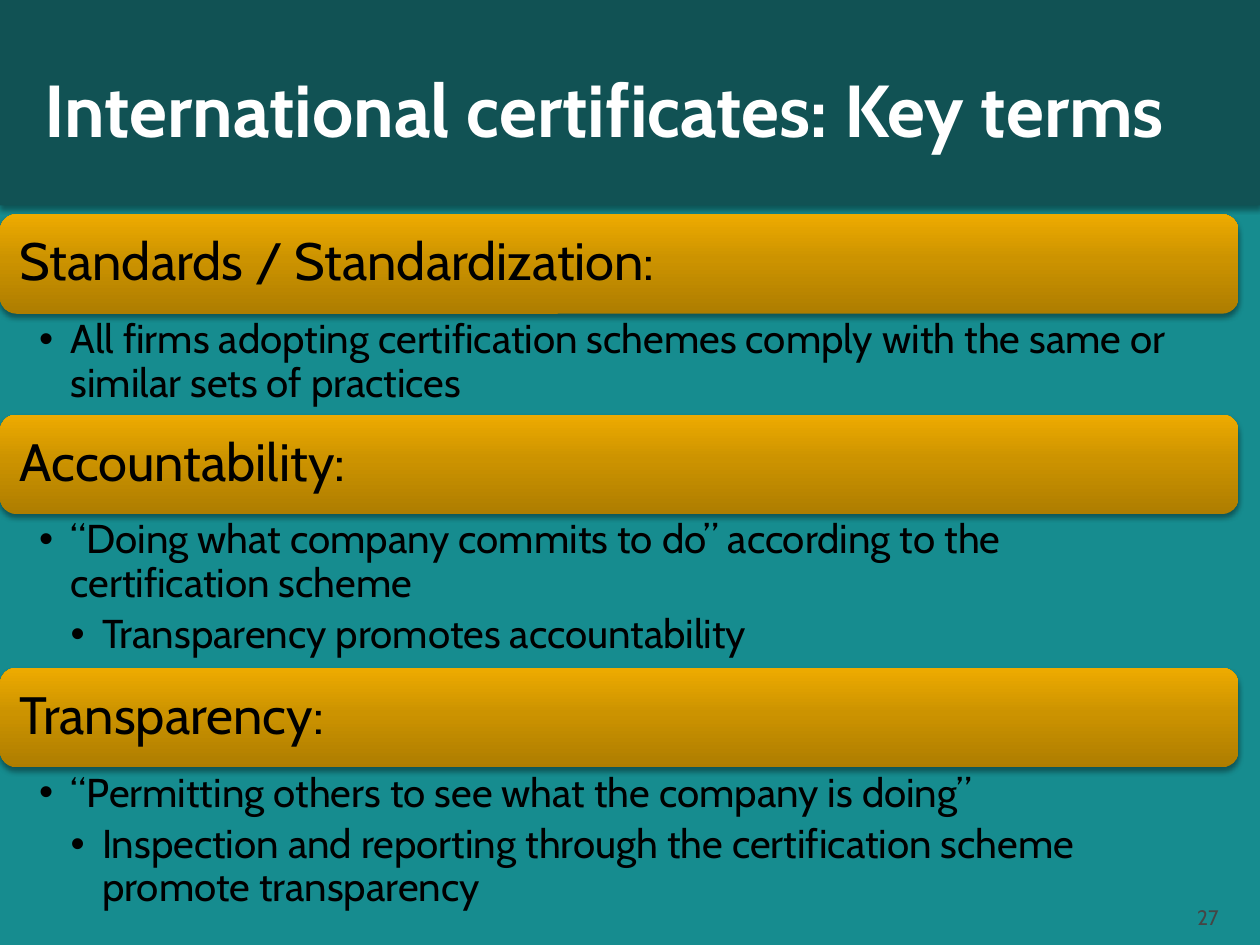
import copy
from dataclasses import dataclass

import pptx
import pptx.dml.color
import pptx.enum.shapes
import pptx.enum.text
import pptx.oxml
import pptx.oxml.ns
import pptx.util
from lxml import etree

TITLE = "International certificates: Key terms"
PAGE_NUMBER = "27"
# heading, height of its list in inches, [(outline level, text), ...]
TERMS = [
    ("Standards / Standardization:", 0.8, [
        (1, "All firms adopting certification schemes comply with the same or similar sets of practices"),
    ]),
    ("Accountability:", 1.22, [
        (1, "“Doing what company commits to do” according to the certification scheme"),
        (2, "Transparency promotes accountability"),
    ]),
    ("Transparency:", 1.22, [
        (1, "“Permitting others to see what the company is doing”"),
        (2, "Inspection and reporting through the certification scheme promote transparency"),
    ]),
]


@dataclass(frozen=True)
class Theme:
    font: str = "Cabin"
    background: str = "168C8F"
    band: str = "115254"
    title: str = "FFFFFF"
    text: str = "000000"
    number: str = "454545"
    gradient: tuple = ((0, "AE7D00"), (0.55, "CC9300"), (1, "EEAB00"))
    title_size: float = 42
    heading_size: float = 30
    list_size: float = 23
    number_size: float = 12


THEME = Theme()
STACK_TOP = 1.7
STACK_WIDTH = 9.83
BAR_HEIGHT = 0.79
INDENT = 0.25

Inches = pptx.util.Inches
Pt = pptx.util.Pt
Anchor = pptx.enum.text.MSO_ANCHOR
Align = pptx.enum.text.PP_ALIGN
Preset = pptx.enum.shapes.MSO_SHAPE


def rgb(value):
    return pptx.dml.color.RGBColor.from_string(value)


def place(shape, left, top, width, height):
    shape.left, shape.top = Inches(left), Inches(top)
    shape.width, shape.height = Inches(width), Inches(height)


def set_frame(shape, anchor, insets):
    """Set anchor and the left, top, right and bottom insets, without autofit."""
    frame = shape.text_frame
    frame.word_wrap = True
    frame.auto_size = pptx.enum.text.MSO_AUTO_SIZE.NONE
    frame.vertical_anchor = anchor
    (frame.margin_left, frame.margin_top,
     frame.margin_right, frame.margin_bottom) = map(Inches, insets)
    return frame


def format_paragraph(paragraph, size, color, bold=False, align=Align.LEFT, spacing=1.0, after=0):
    paragraph.alignment = align
    paragraph.line_spacing = spacing
    paragraph.space_before = Pt(0)
    paragraph.space_after = Pt(after)
    for run in paragraph.runs:
        run.font.name = THEME.font
        run.font.size = Pt(size)
        run.font.bold = bold
        run.font.color.rgb = rgb(color)


def add_shadow(shape):
    shape.shadow.inherit = False
    effects = shape._element.spPr.find(pptx.oxml.ns.qn("a:effectLst"))
    effects.append(pptx.oxml.parse_xml(
        f'<a:outerShdw {pptx.oxml.ns.nsdecls("a")} blurRad="{Pt(3.1)}" dist="{Pt(2)}" '
        'dir="5400000" rotWithShape="0"><a:srgbClr val="000000">'
        '<a:alpha val="38000"/></a:srgbClr></a:outerShdw>'))


def fill_gradient(shape):
    shape.fill.gradient()
    shape.fill.gradient_angle = 90
    stops = shape._element.spPr.find(".//" + pptx.oxml.ns.qn("a:gsLst"))
    stops.insert(1, copy.deepcopy(stops[0]))
    for stop, (position, color) in zip(shape.fill.gradient_stops, THEME.gradient):
        stop.position = position
        stop.color.rgb = rgb(color)


def add_bullet(paragraph, level):
    paragraph.level = level
    properties = paragraph._p.get_or_add_pPr()
    properties.set("marL", str(Inches(INDENT * level)))
    properties.set("indent", str(-Inches(INDENT)))
    etree.SubElement(properties, pptx.oxml.ns.qn("a:buChar"), char="•")


def add_title(slide):
    band = slide.shapes.add_shape(
        Preset.RECTANGLE, 0, Inches(-0.11), Inches(10), Inches(1.74))
    band.fill.solid()
    band.fill.fore_color.rgb = rgb(THEME.band)
    band.line.fill.background()
    add_shadow(band)
    slide.shapes._spTree.insert(2, band._element)

    title = slide.shapes.title
    place(title, 0.25, 0.17, 9.33, 1.37)
    frame = set_frame(title, Anchor.MIDDLE, (0.1, 0.05, 0.05, 0.05))
    frame.text = TITLE
    format_paragraph(frame.paragraphs[0], THEME.title_size, THEME.title, bold=True)


def add_heading(slide, text, top):
    bar = slide.shapes.add_shape(Preset.ROUNDED_RECTANGLE, 0, 0, 0, 0)
    place(bar, 0, top, STACK_WIDTH, BAR_HEIGHT)
    fill_gradient(bar)
    bar.line.fill.background()
    add_shadow(bar)
    frame = set_frame(bar, Anchor.MIDDLE, (0.12, 0.12, 0.12, 0.12))
    frame.text = text
    format_paragraph(frame.paragraphs[0], THEME.heading_size, THEME.text, spacing=0.9)


def fill_list(body, items, top, height):
    place(body, 0, top, STACK_WIDTH, height)
    frame = set_frame(body, Anchor.TOP, (0.31, 0.04, 0.23, 0.04))
    frame.text = "\n".join(text for _, text in items)
    for paragraph, (level, _) in zip(frame.paragraphs, items):
        format_paragraph(paragraph, THEME.list_size, THEME.text, spacing=0.9, after=4.5)
        add_bullet(paragraph, level)


def add_page_number(slide):
    box = slide.shapes.add_textbox(0, 0, 0, 0)
    place(box, 8.97, 7.08, 0.8, 0.3)
    frame = set_frame(box, Anchor.BOTTOM, (0.1, 0.05, 0.1, 0))
    frame.text = PAGE_NUMBER
    format_paragraph(frame.paragraphs[0], THEME.number_size, THEME.number, align=Align.RIGHT)


def main():
    presentation = pptx.Presentation()
    presentation.slide_width, presentation.slide_height = Inches(10), Inches(7.5)
    comparison_layout = presentation.slide_layouts[4]
    slide = presentation.slides.add_slide(comparison_layout)
    slide.background.fill.solid()
    slide.background.fill.fore_color.rgb = rgb(THEME.background)

    add_title(slide)
    bodies = [shape for shape in slide.placeholders if shape.placeholder_format.idx > 0]
    top = STACK_TOP
    for body, (heading, height, items) in zip(bodies, TERMS):
        add_heading(slide, heading, top)
        fill_list(body, items, top + BAR_HEIGHT, height)
        top += BAR_HEIGHT + height
    for unused in bodies[len(TERMS):]:
        unused._element.getparent().remove(unused._element)
    add_page_number(slide)
    presentation.save("out.pptx")


if __name__ == "__main__":
    main()
